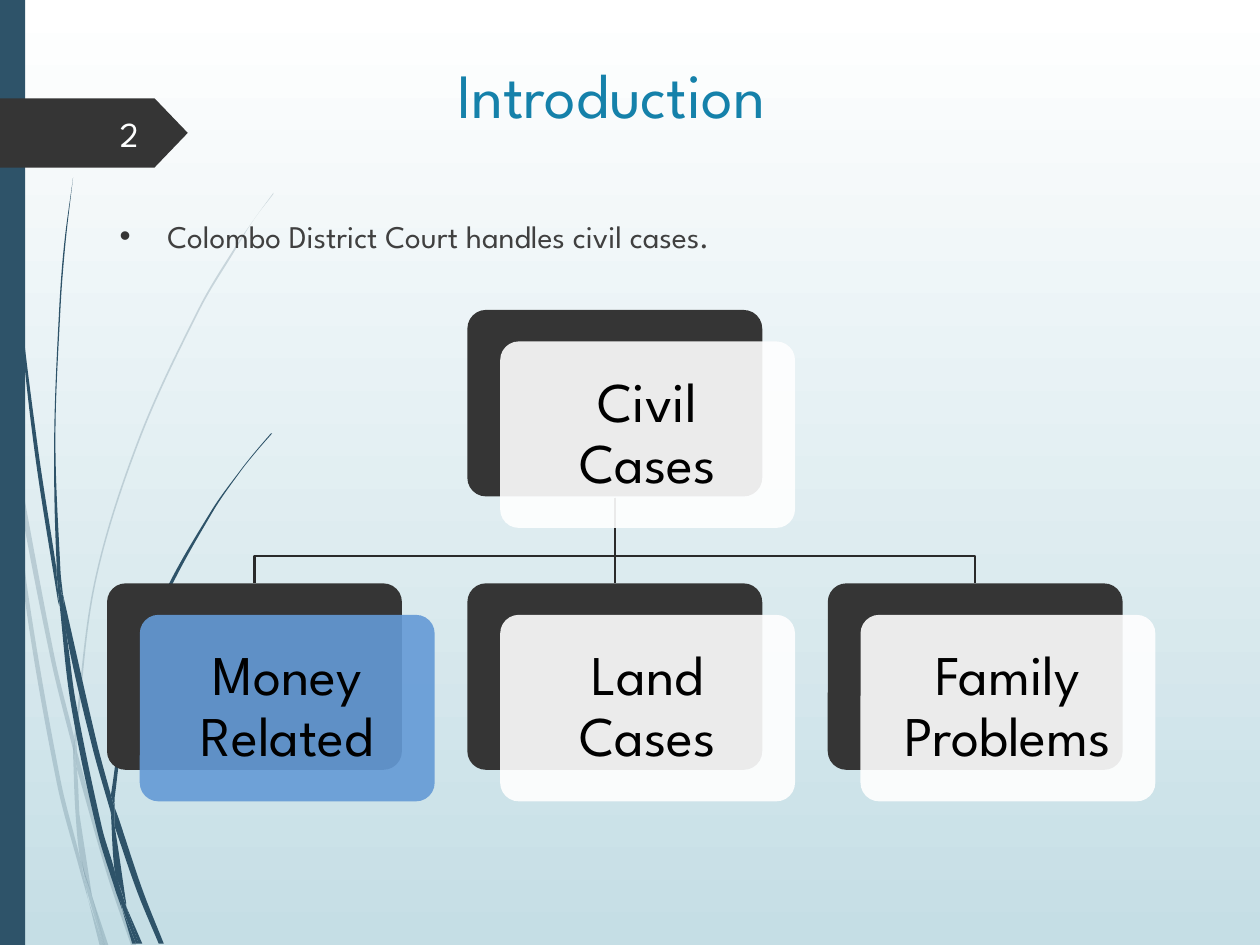
from dataclasses import dataclass
from math import dist

from lxml.etree import SubElement
from pptx import Presentation
from pptx.dml.color import RGBColor
from pptx.enum.shapes import MSO_CONNECTOR, MSO_SHAPE
from pptx.enum.text import MSO_ANCHOR, PP_ALIGN
from pptx.oxml.ns import qn
from pptx.util import Inches, Pt


@dataclass(frozen=True)
class Theme:
    """Colours, font and type sizes of the slide."""
    font: str = "League Spartan"
    sky: tuple = ("FFFFFF", "C5DEE5")
    navy: str = "2E5369"
    dark: str = "353535"
    line: str = "2A2A2A"
    title: str = "1581AA"
    body: str = "404040"
    number: str = "FEFFFF"
    black: str = "000000"
    card: str = "FFFFFF"
    accent: str = "649AD6"
    title_pt: int = 36
    card_pt: int = 32
    number_pt: int = 20
    body_pt: int = 18


THEME = Theme()
CARD_W, CARD_H = 2.34, 1.48
COL_X, COL_STEP = 0.85, 2.86
TOP_Y, STEM_Y, BUS_Y, ROW_Y = 2.46, 3.95, 4.41, 4.63
OFFSET_X, OFFSET_Y = 0.26, 0.25
BRANCHES = (("Money Related", THEME.accent), ("Land Cases", THEME.card),
            ("Family Problems", THEME.card))

PALE_BLADES = (
    ".08,3.5 .06,3.22 0,2.82 | 0,2.99 .07,3.44 .08,3.5",
    ".1,3.45 .12,3.76 .4,5.22 .59,5.99 | .59,5.86 .43,5.2 .1,3.45",
    ".61,5.96 .64,6.07 .88,6.92 1.08,7.5 | 1.04,7.5 .85,6.94 .61,6.1",
    ".73,7.11 .83,7.5 | .86,7.5 .73,7.11",
    ".08,3.5 .12,3.76 .22,4.69 .48,6.19 .64,6.83 .7,7.14 | .64,6.93 .45,6.21 .19,4.7 .08,3.5",
    ".58,5.99 .6,6.46 .64,6.83 .73,7.11 | .63,6.46 .61,6.1 .58,5.99",
    ".61,5.96 .61,5.84 .76,4.62 1.11,3.49 1.59,2.45 1.87,1.98 2.01,1.75 2.17,1.54"
    " | 2.17,1.53 2.01,1.75 1.86,1.97 1.58,2.44 1.1,3.48 .75,4.61 .59,5.84",
    ".7,7.14 .79,7.5 | .82,7.5 .7,7.14",
    ".61,6.08 .61,6.1 .61,5.96 | .59,5.86 .58,5.99",
    ".65,6.83 .69,7.07 .82,7.5 | .83,7.5 .73,7.11 .67,6.92",
)
NAVY_BLADES = (
    ".02,0 .03,.48 .05,1.1 .14,2.33 .27,3.55 .46,4.77 .47,4.81"
    " | .45,4.57 .45,4.53 .3,3.55 .15,2.32 .06,1.09 .04,.48 .03,0",
    ".5,4.72 .53,5.05 .73,5.92 .88,6.45 | .88,6.31 .77,5.9 .5,4.72",
    ".91,6.41 .94,6.49 1.13,7.06 1.3,7.49 | 1.26,7.49 1.09,7.08 .91,6.56",
    ".47,4.77 .53,5.05 .6,5.56 .81,6.57 .91,6.91 .97,7.22 | .92,7.08 .77,6.59 .56,5.57 .47,4.77",
    ".5,4.72 .48,4.53 .44,3.49 .48,2.45 .52,1.93 .58,1.41"
    " | .58,1.41 .51,1.93 .47,2.45 .43,3.49 .45,4.49 .49,4.72",
    "1,7.19 1.1,7.49 | 1.13,7.49 1,7.19",
    ".45,4.49 .45,4.53 .47,4.77 .53,5.05 | .5,4.72 .49,4.72 .45,4.49",
    ".91,6.41 .91,6.33 1.03,5.52 1.31,4.76 1.69,4.06 1.91,3.74 2.03,3.59 2.16,3.44"
    " | 2.15,3.44 2.03,3.58 1.91,3.73 1.68,4.05 1.29,4.74 1.01,5.51 .88,6.31",
    ".97,7.22 1.05,7.49 | 1.08,7.49 .97,7.22",
    ".88,6.45 .91,6.91 .96,7.06 1,7.19 | 1,7.16 .91,6.56 .88,6.45",
    ".88,6.45 .91,6.56 | .91,6.41 .88,6.31",
    ".91,6.91 .96,7.17 1.08,7.49 | 1.1,7.49 1,7.19 .91,6.91",
)


def rgb(color):
    """Turn a hex string into a colour."""
    return RGBColor.from_string(color)


def paint(sp, color, opacity=100):
    """Give a shape a flat fill with no line or shadow."""
    sp.shadow.inherit = False
    sp.fill.solid()
    sp.fill.fore_color.rgb = rgb(color)
    sp.line.fill.background()
    if opacity < 100:
        clr = sp.element.spPr.find(".//" + qn("a:srgbClr"))
        SubElement(clr, qn("a:alpha"), val=str(opacity * 1000))


def add_block(s, kind, box, color, opacity=100, adj=None):
    """Add a filled preset shape."""
    sp = s.shapes.add_shape(kind, *map(Inches, box))
    if adj is not None:
        sp.adjustments[0] = adj
    paint(sp, color, opacity)
    return sp


def add_outline(s, points, close):
    """Add a freeform through points given in inches."""
    start, *rest = [(Inches(x), Inches(y)) for x, y in points]
    builder = s.shapes.build_freeform(*start)
    builder.add_line_segments(rest, close=close)
    return builder.convert_to_shape()


def edge_curves(pts):
    """Return the first point and the Bezier points of a smooth edge."""
    slopes = []
    for i in range(len(pts)):
        a, b = pts[max(i - 1, 0)], pts[min(i + 1, len(pts) - 1)]
        span = dist(a, pts[i]) + dist(pts[i], b)
        slopes.append([(q - p) / span for p, q in zip(a, b)])
    curve = [pts[0]]
    for p, q, m, n in zip(pts, pts[1:], slopes, slopes[1:]):
        d = dist(p, q) / 3
        curve += [(p[0] + m[0] * d, p[1] + m[1] * d), (q[0] - n[0] * d, q[1] - n[1] * d), q]
    return curve


def add_blade(s, edges, opacity):
    """Add a grass blade bounded by two smooth edges."""
    out, back = [edge_curves([tuple(map(float, xy.split(","))) for xy in edge.split()])
                 for edge in edges.split("|")]
    sp = add_outline(s, out + [out[-1], back[0]] + back, True)
    outline = sp.element.spPr.find(".//" + qn("a:path"))
    lines = outline.findall(qn("a:lnTo"))
    for trio in zip(lines[::3], lines[1::3], lines[2::3]):
        bezier = SubElement(outline, qn("a:cubicBezTo"))
        trio[0].addprevious(bezier)
        for line in trio:
            bezier.append(line[0])
            outline.remove(line)
    paint(sp, THEME.navy, opacity)


def write(tf, text, size, color, align, anchor=MSO_ANCHOR.TOP):
    """Write one styled paragraph into a text frame."""
    tf.word_wrap = True
    tf.vertical_anchor = anchor
    p = tf.paragraphs[0]
    p.alignment = align
    r = p.add_run()
    r.text = text
    r.font.name, r.font.size = THEME.font, Pt(size)
    r.font.color.rgb = rgb(color)
    return p


def add_text(s, box, *style):
    """Add a text box holding one paragraph."""
    tb = s.shapes.add_textbox(*map(Inches, box))
    return write(tb.text_frame, *style)


def add_bullet(p):
    """Set a hanging bullet on a paragraph."""
    p.space_before = Pt(10)
    pPr = p._p.get_or_add_pPr()
    pPr.set("marL", str(Inches(0.38)))
    pPr.set("indent", str(-Inches(0.38)))
    SubElement(SubElement(pPr, qn("a:buClr")), qn("a:srgbClr"), val=THEME.dark)
    SubElement(pPr, qn("a:buFont"), typeface="Arial")
    SubElement(pPr, qn("a:buChar"), char="•")


def add_branch(s, x0, x1):
    """Join the top card to a lower card."""
    if x0 == x1:
        sp = s.shapes.add_connector(MSO_CONNECTOR.STRAIGHT,
                                    *map(Inches, (x0, STEM_Y, x1, ROW_Y)))
        SubElement(sp.element.spPr, qn("a:effectLst"))
    else:
        sp = add_outline(s, [(x0, STEM_Y), (x0, BUS_Y), (x1, BUS_Y), (x1, ROW_Y)], False)
        sp.shadow.inherit = False
        sp.fill.background()
    sp.line.color.rgb = rgb(THEME.line)
    sp.line.width = Pt(1.25)


def add_card(s, x, y, text, color):
    """Add a dark card with a translucent captioned card over it."""
    kind = MSO_SHAPE.ROUNDED_RECTANGLE
    add_block(s, kind, (x, y, CARD_W, CARD_H), THEME.dark, adj=0.1)
    sp = add_block(s, kind, (x + OFFSET_X, y + OFFSET_Y, CARD_W, CARD_H), color, 90, 0.1)
    tf = sp.text_frame
    tf.margin_left = tf.margin_right = Inches(0.15)
    tf.margin_top = tf.margin_bottom = Inches(0.13)
    p = write(tf, text, THEME.card_pt, THEME.black, PP_ALIGN.CENTER, MSO_ANCHOR.MIDDLE)
    p.line_spacing = 0.9


def add_backdrop(s):
    """Add the gradient, grass blades, side bar and number tag."""
    fill = s.background.fill
    fill.gradient()
    fill.gradient_angle = 270
    for stop, color, position in zip(fill.gradient_stops, THEME.sky, (0, 1)):
        stop.color.rgb = rgb(color)
        stop.position = position
    for blades, opacity in ((PALE_BLADES, 20), (NAVY_BLADES, 100)):
        for edges in blades:
            add_blade(s, edges, opacity)
    add_block(s, MSO_SHAPE.RECTANGLE, (0, 0, 0.2, 7.5), THEME.navy)
    add_block(s, MSO_SHAPE.PENTAGON, (0, 0.78, 1.49, 0.55), THEME.dark, adj=0.48)


def main():
    """Build the slide and save it."""
    prs = Presentation()
    prs.slide_width, prs.slide_height = Inches(10), Inches(7.5)
    s = prs.slides.add_slide(prs.slide_layouts[6])
    add_backdrop(s)
    add_text(s, (0.54, 0.39, 8.62, 1.45), "Introduction",
             THEME.title_pt, THEME.title, PP_ALIGN.CENTER)
    add_bullet(add_text(s, (0.85, 1.67, 8.48, 4.38), "Colombo District Court handles civil cases.",
                        THEME.body_pt, THEME.body, PP_ALIGN.LEFT))
    columns = [COL_X + i * COL_STEP for i in range(len(BRANCHES))]
    for x in columns:
        add_branch(s, columns[1] + CARD_W / 2, x + CARD_W / 2)
    add_card(s, columns[1], TOP_Y, "Civil Cases", THEME.card)
    for x, (text, color) in zip(columns, BRANCHES):
        add_card(s, x, ROW_Y, text, color)
    add_text(s, (0.56, 0.86, 0.64, 0.4), "2", THEME.number_pt, THEME.number,
             PP_ALIGN.RIGHT, MSO_ANCHOR.MIDDLE)
    prs.save("out.pptx")


if __name__ == "__main__":
    main()
